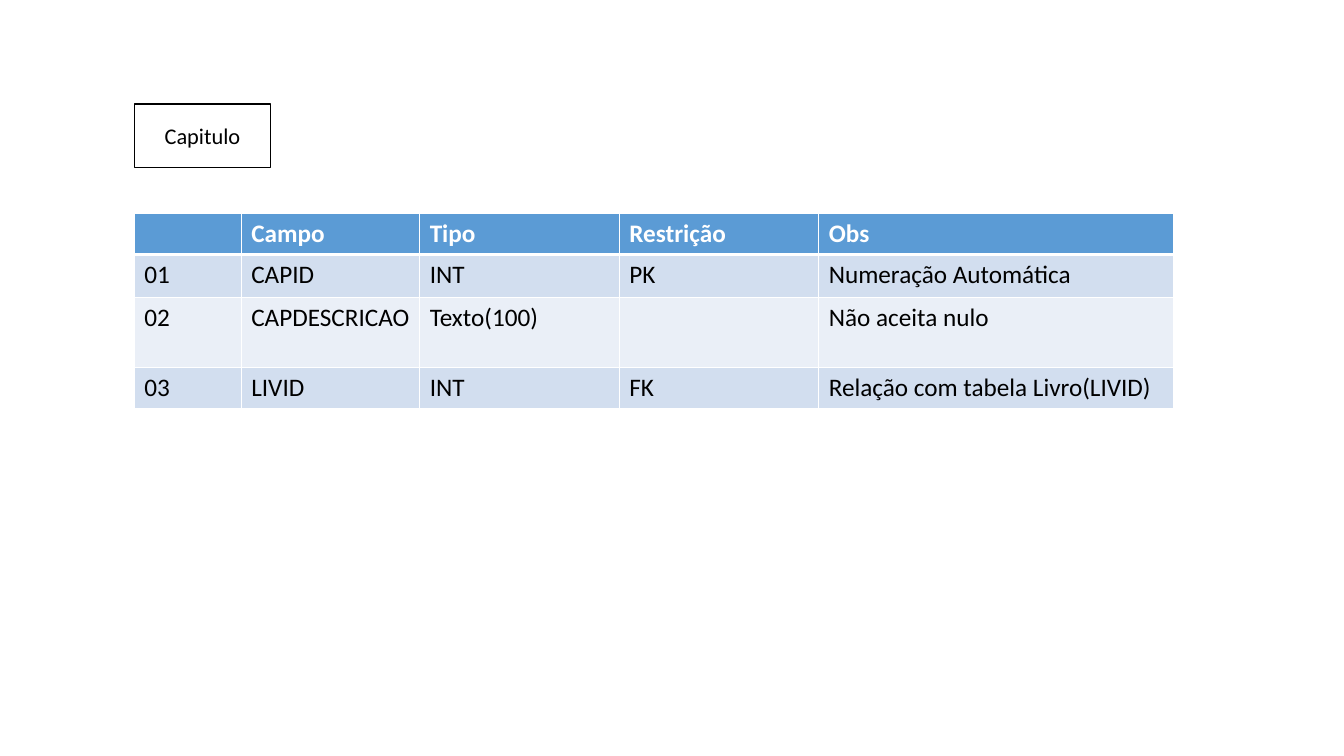
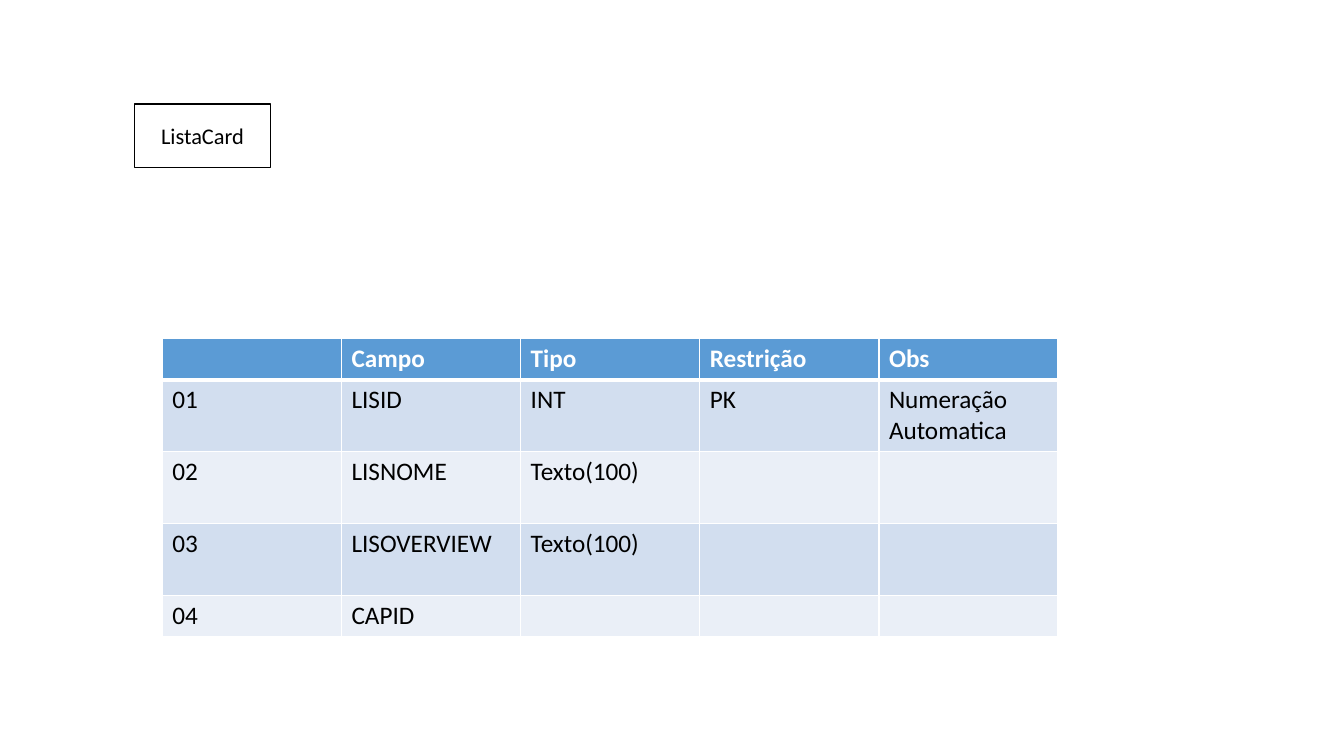
"""Builds two data dictionary slides, each with a boxed table name and a field table."""
from lxml import etree
from pptx import Presentation
from pptx import util as u
from pptx.dml.color import RGBColor
from pptx.enum import text
from pptx.oxml import ns

COLORS = {"white": "FFFFFF", "black": "000000", "header": "5B9BD5",
          "odd": "D2DEEF", "even": "EAEFF7"}
HEADER = ("", "Campo", "Tipo", "Restrição", "Obs")


class Deck:
    """Holds the style and the current slide; lengths are percent of the slide."""

    font = "Calibri"

    def __init__(self):
        self.prs = Presentation()
        self.prs.slide_width = u.Inches(13.33)
        self.prs.slide_height = u.Inches(7.5)
        self.s = None

    def x(self, share):
        return round(self.prs.slide_width * share / 100)

    def y(self, share):
        return round(self.prs.slide_height * share / 100)

    def color(self, name):
        return RGBColor.from_string(COLORS[name])

    def fill(self, target, name):
        target.fill.solid()
        target.fill.fore_color.rgb = self.color(name)

    def run(self, p, words, size, color, bold=False):
        r = p.add_run()
        r.text = words
        r.font.name = self.font
        r.font.size = u.Pt(size)
        r.font.bold = bold
        r.font.color.rgb = self.color(color)

    def slide(self, name):
        self.s = self.prs.slides.add_slide(self.prs.slide_layouts[5])
        self.title(name)

    def title(self, name):
        sp = self.s.shapes.title
        sp.left, sp.top = self.x(10), self.y(13.73)
        sp.width, sp.height = self.x(10.13), self.y(8.4)
        self.fill(sp, "white")
        sp.line.color.rgb = self.color("black")
        sp.line.width = u.Pt(1)
        tf = sp.text_frame
        tf.auto_size = text.MSO_AUTO_SIZE.NONE
        tf.vertical_anchor = text.MSO_ANCHOR.MIDDLE
        p = tf.paragraphs[0]
        p.alignment = text.PP_ALIGN.CENTER
        self.run(p, name, 16, "black")

    def borders(self, cell, top, bottom):
        tc_pr = cell._tc.get_or_add_tcPr()
        widths = {"lnL": 1, "lnR": 1, "lnT": top, "lnB": bottom}
        for i, (tag, width) in enumerate(widths.items()):
            ln = etree.Element(ns.qn(f"a:{tag}"), w=str(u.Pt(width)))
            solid = etree.SubElement(ln, ns.qn("a:solidFill"))
            etree.SubElement(solid, ns.qn("a:srgbClr"), val=COLORS["white"])
            tc_pr.insert(i, ln)

    def cell(self, cell, words, row):
        header = row == 0
        band = "header" if header else "odd" if row % 2 else "even"
        self.fill(cell, band)
        self.borders(cell, 3 if row == 1 else 1, 3 if header else 1)
        if words:
            self.run(cell.text_frame.paragraphs[0], words, 18,
                     "white" if header else "black", header)

    def table(self, left, top, cols, heights, fields):
        rows = [HEADER] + [(f"{i:02}", *field) for i, field in enumerate(fields, 1)]
        frame = self.s.shapes.add_table(
            len(rows), len(cols), self.x(left), self.y(top),
            self.x(sum(cols)), self.y(sum(heights)))
        tbl = frame.table
        tbl.horz_banding = False
        for col, width in zip(tbl.columns, cols):
            col.width = self.x(width)
        for i, (row, height) in enumerate(zip(tbl.rows, heights)):
            row.height = self.y(height)
            for cell, words in zip(row.cells, rows[i]):
                self.cell(cell, words, i)


deck = Deck()

deck.slide("Capitulo")
deck.table(10, 28.27, [7.95, 13.28, 14.85, 14.85, 26.4], [5.4, 5.73, 9.2, 5.4], [
    ("CAPID", "INT", "PK", "Numeração Automática"),
    ("CAPDESCRICAO", "Texto(100)", "", "Não aceita nulo"),
    ("LIVID", "INT", "FK", "Relação com tabela Livro(LIVID)"),
])

deck.slide("ListaCard")
deck.table(12.08, 44.8, [13.33] * 5, [5.44, 9.5, 9.5, 9.5, 5.44], [
    ("LISID", "INT", "PK", "Numeração Automatica"),
    ("LISNOME", "Texto(100)", "", ""),
    ("LISOVERVIEW", "Texto(100)", "", ""),
    ("CAPID", "", "", ""),
])

deck.prs.save("out.pptx")
